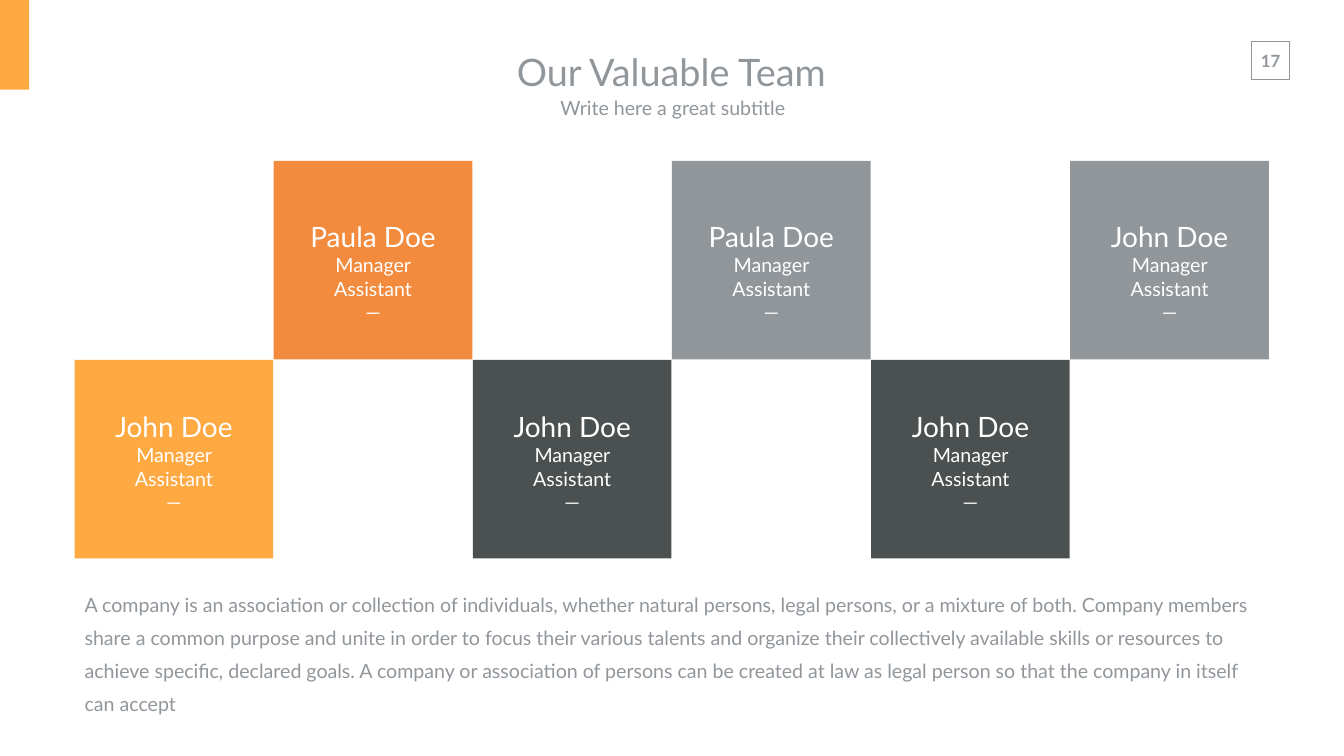
from dataclasses import dataclass

from pptx import Presentation
from pptx import util as u
from pptx.dml.color import RGBColor
from pptx.enum import shapes, text

FONT = "Lato"
AMBER = RGBColor(0xFF, 0xA9, 0x43)
ORANGE = RGBColor(0xF2, 0x8B, 0x3E)
GRAY = RGBColor(0x91, 0x96, 0x9B)
CHARCOAL = RGBColor(0x4B, 0x50, 0x50)
WHITE = RGBColor(0xFF, 0xFF, 0xFF)

# Checkerboard of team tiles, in inches
GRID_LEFT, GRID_TOP, PITCH, TILE = 1.48, 3.19, 3.95, 3.94
LABEL_WIDTH, LABEL_HEIGHT = 3.18, 2.19
LABEL_DROP = (1.12, 0.94)  # distance below the tile's top, by row

SUMMARY = (
    "A company is an association or collection of individuals, whether natural "
    "persons, legal persons, or a mixture of both. Company members share a common "
    "purpose and unite in order to focus their various talents and organize their "
    "collectively available skills or resources to achieve specific, declared goals. "
    "A company or association of persons can be created at law as legal person so "
    "that the company in itself can accept"
)


@dataclass(frozen=True)
class Member:
    name: str
    column: int
    row: int
    color: RGBColor


TEAM = (
    Member("John Doe", 0, 1, AMBER),
    Member("Paula Doe", 1, 0, ORANGE),
    Member("John Doe", 2, 1, CHARCOAL),
    Member("Paula Doe", 3, 0, GRAY),
    Member("John Doe", 4, 1, CHARCOAL),
    Member("John Doe", 5, 0, GRAY),
)


def add_rect(slide, left: float, top: float, width: float, height: float,
             fill: RGBColor | None = None, line: RGBColor | None = None):
    sp = slide.shapes.add_shape(shapes.MSO_SHAPE.RECTANGLE, u.Inches(left),
                                u.Inches(top), u.Inches(width), u.Inches(height))
    sp.shadow.inherit = False
    if fill is None:
        sp.fill.background()
    else:
        sp.fill.solid()
        sp.fill.fore_color.rgb = fill
    if line is None:
        sp.line.fill.background()
    else:
        sp.line.color.rgb = line
        sp.line.width = u.Pt(1)
    return sp


def add_text_box(slide, left: float, top: float, width: float, height: float):
    sp = slide.shapes.add_textbox(u.Inches(left), u.Inches(top),
                                  u.Inches(width), u.Inches(height))
    sp.text_frame.word_wrap = True
    sp.text_frame.auto_size = text.MSO_AUTO_SIZE.SHAPE_TO_FIT_TEXT
    return sp


def set_margins(tf, side: float, end: float) -> None:
    tf.margin_left = tf.margin_right = u.Inches(side)
    tf.margin_top = tf.margin_bottom = u.Inches(end)


def style(p, size: int, color: RGBColor, align=text.PP_ALIGN.CENTER) -> None:
    p.alignment = align
    p.font.name = FONT
    p.font.size = u.Pt(size)
    p.font.color.rgb = color


def fill_heading(sp, left: float, top: float, height: float,
                 words: str, size: int) -> None:
    """Move a placeholder into the heading area and format its one line."""
    sp.left, sp.top = u.Inches(left), u.Inches(top)
    sp.width, sp.height = u.Inches(10.33), u.Inches(height)
    tf = sp.text_frame
    tf.text = words
    tf.word_wrap = True
    tf.auto_size = text.MSO_AUTO_SIZE.SHAPE_TO_FIT_TEXT
    tf.vertical_anchor = text.MSO_ANCHOR.MIDDLE
    set_margins(tf, 0.27, 0.13)
    p = tf.paragraphs[0]
    p.space_before = u.Pt(0)
    style(p, size, GRAY)


def add_member(slide, member: Member) -> None:
    left = GRID_LEFT + member.column * PITCH
    top = GRID_TOP + member.row * PITCH
    add_rect(slide, left, top, TILE, TILE, fill=member.color)
    label = add_text_box(slide, left + (TILE - LABEL_WIDTH) / 2,
                         top + LABEL_DROP[member.row], LABEL_WIDTH, LABEL_HEIGHT)
    tf = label.text_frame
    tf.text = f"{member.name}\nManager Assistant\n—"
    for p, size in zip(tf.paragraphs, (40, 28, 28)):
        style(p, size, WHITE)


def add_page_number(slide, number: str) -> None:
    add_rect(slide, 24.83, 0.82, 0.75, 0.75, line=GRAY)
    tf = add_text_box(slide, 24.8, 0.9, 0.81, 0.61).text_frame
    tf.word_wrap = False
    set_margins(tf, 0.2, 0.1)
    tf.text = number
    p = tf.paragraphs[0]
    style(p, 24, GRAY)
    p.font.bold = True


def main() -> None:
    prs = Presentation()
    prs.slide_width, prs.slide_height = u.Inches(26.66), u.Inches(15)
    slide = prs.slides.add_slide(prs.slide_layouts[0])

    fill_heading(slide.shapes.title, 8.15, 0.83, 1.18, "Our Valuable Team", 54)
    fill_heading(slide.placeholders[1], 8.18, 1.76, 0.74,
                 "Write here a great subtitle", 28)
    add_page_number(slide, "17")
    add_rect(slide, 0, 0, 0.58, 1.78, fill=AMBER)

    for member in TEAM:
        add_member(slide, member)

    tf = add_text_box(slide, 1.58, 11.53, 23.5, 2.05).text_frame
    tf.text = SUMMARY
    p = tf.paragraphs[0]
    p.line_spacing = 1.4
    style(p, 28, GRAY, text.PP_ALIGN.LEFT)

    prs.save("out.pptx")


if __name__ == "__main__":
    main()
